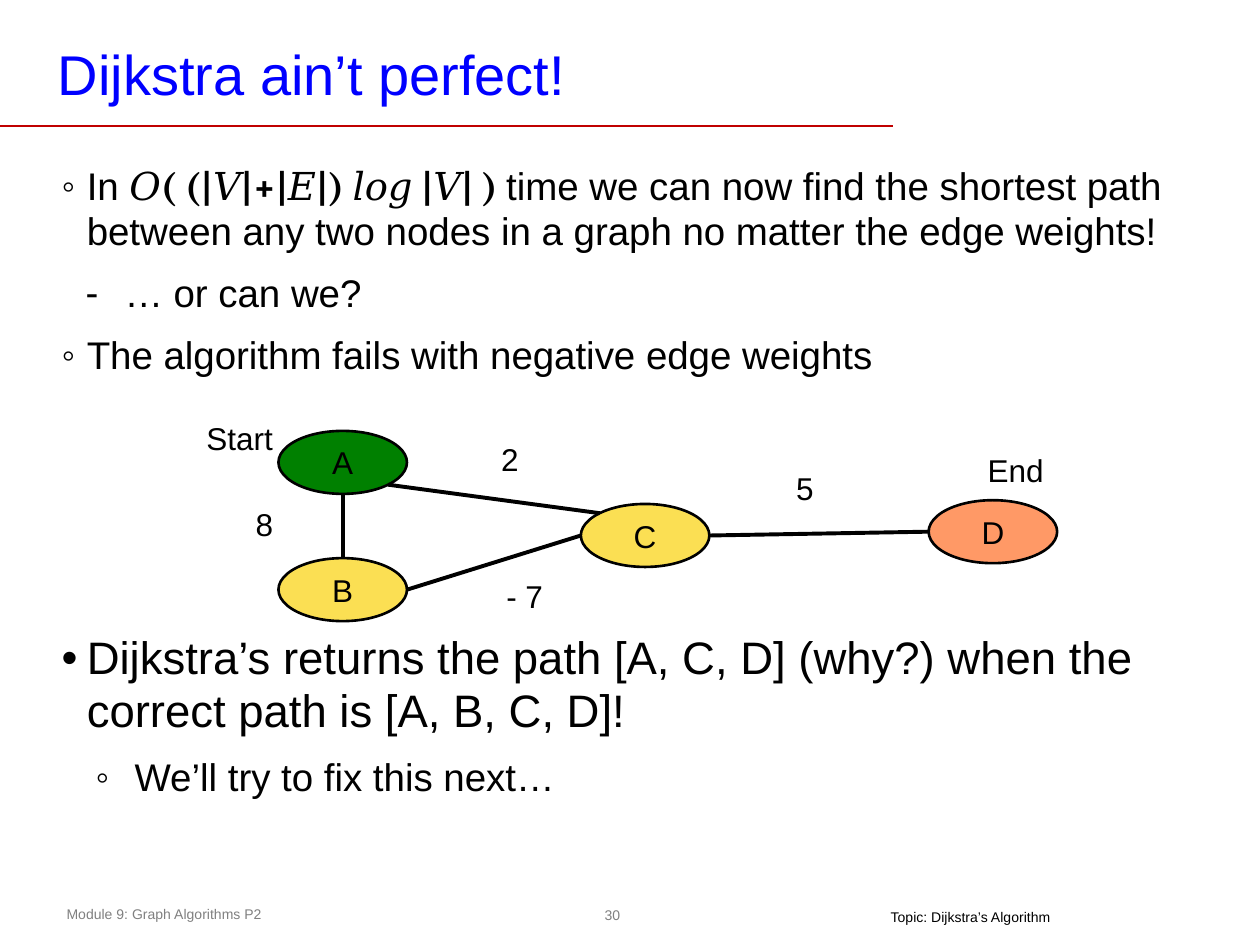
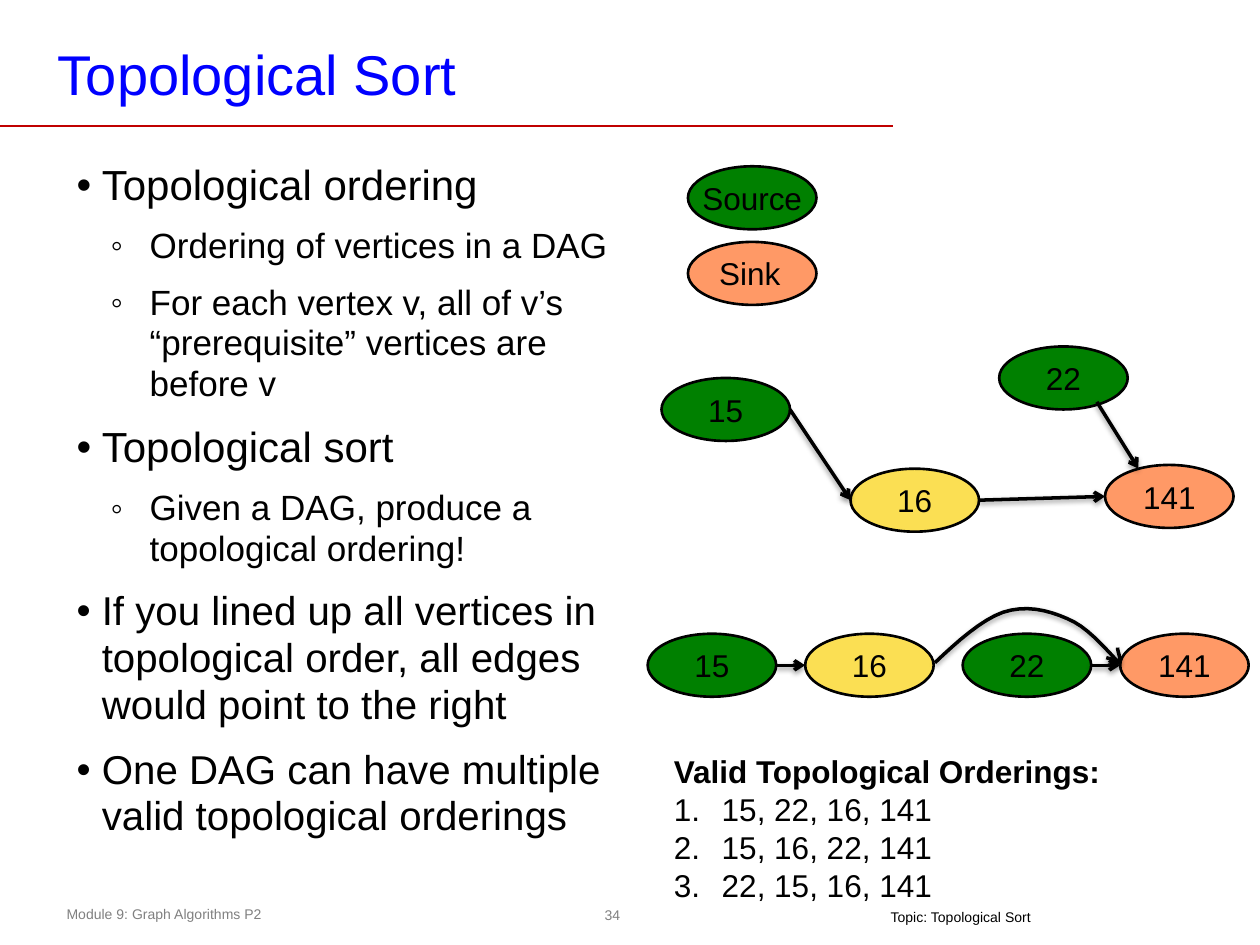
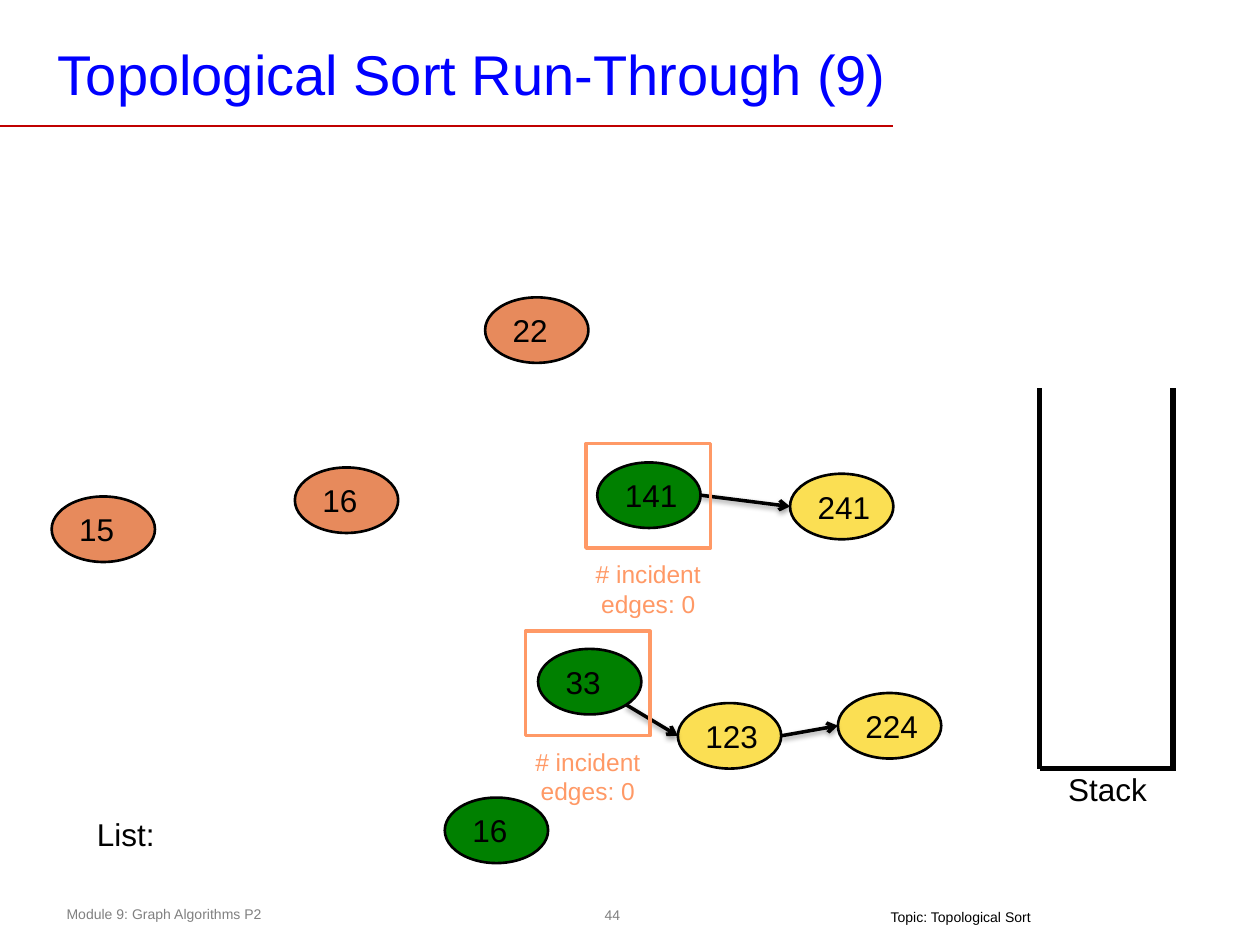
"""Builds three lecture slides on Dijkstra's algorithm and topological sort."""
from lxml import etree
from pptx import Presentation
from pptx.dml.color import RGBColor
from pptx.enum.shapes import MSO_CONNECTOR, MSO_SHAPE
from pptx.enum.text import MSO_ANCHOR, MSO_AUTO_SIZE, PP_ALIGN
from pptx.oxml.ns import qn
from pptx.util import Inches, Pt

STRAIGHT = MSO_CONNECTOR.STRAIGHT
OVAL, RECTANGLE = MSO_SHAPE.OVAL, MSO_SHAPE.RECTANGLE
TOP, MIDDLE, BOTTOM = MSO_ANCHOR.TOP, MSO_ANCHOR.MIDDLE, MSO_ANCHOR.BOTTOM
LEFT, CENTER = PP_ALIGN.LEFT, PP_ALIGN.CENTER
FIT_SHAPE = MSO_AUTO_SIZE.SHAPE_TO_FIT_TEXT

BLACK = RGBColor(0x00, 0x00, 0x00)
GREY = RGBColor(0x80, 0x80, 0x80)
BLUE = RGBColor(0x00, 0x00, 0xFF)
RED = RGBColor(0xC0, 0x00, 0x00)
GREEN = RGBColor(0x00, 0x80, 0x00)
YELLOW = RGBColor(0xFB, 0xDF, 0x53)
ORANGE = RGBColor(0xFF, 0x99, 0x66)
RUST = RGBColor(0xE7, 0x8A, 0x5C)

BODY_FONT, MATH_FONT = "Arial", "Cambria"
MODULE = "Module 9: Graph Algorithms P2"
DIJKSTRA, TOPOLOGICAL = "Topic: Dijkstra’s Algorithm", "Topic: Topological Sort"
INSETS = (0.1, 0.05, 0.1, 0.05)

# Places on a node's outline, as shares of its width and height
SITES = {
    "top": (0.5, 0), "bottom": (0.5, 1), "left": (0, 0.5), "right": (1, 0.5),
    "top left": (0.146, 0.146), "bottom right": (0.854, 0.854),
    "low right": (0.76, 0.88), "high left": (0.26, 0.06),
}

# Bullet style: level, left margin, first-line indent, bullet element, its attributes
BULLETS = {
    "dot": (0, 0.2, -0.2, "a:buChar", {"char": "•"}),
    "ring": (1, 0.58, -0.31, "a:buChar", {"char": "◦"}),
    "outer ring": (1, 0.2, -0.2, "a:buChar", {"char": "◦"}),
    "dash": (2, 0.5, -0.31, "a:buChar", {"char": "-"}),
    "number": (0, 0.38, -0.38, "a:buAutoNum", {"type": "arabicPeriod"}),
}

GRAPH_GAP = 145
DIJKSTRA_POINTS = [
    ("outer ring", 22, ["In ", ("𝑂( (|𝑉|+|𝐸|) 𝑙𝑜𝑔 |𝑉| ) ", MATH_FONT),
                        "time we can now find the shortest path between any two "
                        "nodes in a graph no matter the edge weights!"], 0),
    ("dash", 22, ["… or can we?"], None),
    ("outer ring", 22, ["The algorithm fails with negative edge weights"], None),
    ("dot", 26, ["Dijkstra’s returns the path [A, C, D] (why?) when the "
                 "correct path is [A, B, C, D]!"], GRAPH_GAP),
    ("ring", 22, ["We’ll try to fix this next…"], None),
]
DIJKSTRA_NODES = {
    "D": (7.37, 3.97, ORANGE), "A": (2.21, 3.42, GREEN),
    "B": (2.21, 4.43, YELLOW), "C": (4.61, 4, YELLOW),
}
DIJKSTRA_EDGES = [
    ("C", "top left", "A", "bottom right"), ("B", "top", "A", "bottom"),
    ("D", "left", "C", "right"), ("C", "left", "B", "right"),
]
DIJKSTRA_LABELS = [
    ("2", 3.88, 3.44, 0.34), ("- 7", 3.92, 4.53, 0.5), ("5", 6.22, 3.67, 0.34),
    ("8", 1.93, 3.96, 0.34), ("Start", 1.54, 3.28, 0.73), ("End", 7.74, 3.53, 0.65),
]

SORT_POINTS = [
    ("dot", 24, ["Topological ordering"], 0),
    ("ring", 20, ["Ordering of vertices in a DAG"], None),
    ("ring", 20, ["For each vertex v, all of v’s “prerequisite” vertices are before v"], None),
    ("dot", 24, ["Topological sort"], None),
    ("ring", 20, ["Given a DAG, produce a topological ordering!"], None),
    ("dot", 23, ["If you lined up all vertices in topological order, all edges "
                 "would point to the right"], None),
    ("dot", 23, ["One DAG can have multiple valid topological orderings"], None),
]
SORT_NODES = {
    "16": (6.75, 3.72, YELLOW), "15": (5.25, 3, GREEN),
    "141": (8.77, 3.69, ORANGE), "22": (7.93, 2.75, GREEN),
}
SORT_EDGES = [
    ("15", "right", "16", "left"), ("16", "right", "141", "left"),
    ("22", "low right", "141", "high left"),
]
LINEUP = [("15", GREEN), ("16", YELLOW), ("22", GREEN), ("141", ORANGE)]
LINEUP_LEFT, LINEUP_TOP, LINEUP_STEP = 5.14, 5.03, 1.25
LINEUP_EDGES = [("15", "right", "16", "left"), ("22", "right", "141", "left")]
ARC = [(7.42, 5.26), (7.6, 5.09), (7.79, 4.92), (7.96, 4.86), (8.14, 4.8),
       (8.31, 4.84), (8.47, 4.91), (8.62, 4.97), (8.75, 5.12), (8.88, 5.26)]
ARC_HEAD = [(8.87, 5.14), (8.87, 5.18), (8.9, 5.22), (8.88, 5.25), (8.87, 5.27),
            (8.84, 5.24), (8.82, 5.23), (8.81, 5.23), (8.78, 5.22), (8.78, 5.22)]
ORDERINGS_TITLE = "Valid Topological Orderings:"
ORDERINGS = ["15, 22, 16, 141", "15, 16, 22, 141", "22, 15, 16, 141"]

RUN_NODES = {
    "33": (4.27, 5.15, GREEN), "16": (2.34, 3.71, RUST), "15": (0.41, 3.94, RUST),
    "123": (5.38, 5.58, YELLOW), "224": (6.65, 5.5, YELLOW), "141": (4.74, 3.67, GREEN),
    "241": (6.27, 3.76, YELLOW), "22": (3.85, 2.36, RUST),
}
RUN_EDGES = [
    ("123", "right", "224", "left"), ("33", "bottom right", "123", "left"),
    ("141", "right", "241", "left"),
]
LISTED_NODE = {"16": (3.53, 6.33, GREEN)}
STACK_LEFT, STACK_RIGHT, STACK_TOP, STACK_BOTTOM = 8.25, 9.31, 3.08, 6.1
READY_FRAMES = [(4.65, 3.52), (4.17, 5.01)]
READY_NOTE = "# incident edges: 0"
WIDE_NODE, SMALL_NODE = (1.02, 0.5), (0.82, 0.52)


def inches(*lengths):
    return [Inches(length) for length in lengths]


def style(run, size, color=BLACK, font=BODY_FONT, bold=False):
    run.font.size, run.font.name, run.font.bold = Pt(size), font, bold
    run.font.color.rgb = color


def set_frame(frame, insets=INSETS, anchor=TOP, wrap=True):
    frame.margin_left, frame.margin_top, frame.margin_right, frame.margin_bottom = inches(*insets)
    frame.vertical_anchor, frame.word_wrap = anchor, wrap


def add_text(slide, text, box, size=18, color=BLACK, align=LEFT, **frame_options):
    frame = slide.shapes.add_textbox(*inches(*box)).text_frame
    set_frame(frame, **frame_options)
    if not frame.word_wrap:
        frame.auto_size = FIT_SHAPE
    frame.text = text
    paragraph = frame.paragraphs[0]
    paragraph.alignment = align
    style(paragraph.runs[0], size, color)
    return frame


def add_bullet(paragraph, kind):
    level, margin, indent, tag, attributes = BULLETS[kind]
    paragraph.level = level
    properties = paragraph._p.get_or_add_pPr()
    properties.set("marL", str(Inches(margin)))
    properties.set("indent", str(Inches(indent)))
    etree.SubElement(properties, qn("a:buFont")).set("typeface", BODY_FONT)
    etree.SubElement(properties, qn(tag), attributes)


def add_points(slide, points, box):
    frame = slide.shapes.add_textbox(*inches(*box)).text_frame
    set_frame(frame)
    for index, (kind, size, pieces, gap) in enumerate(points):
        paragraph = frame.add_paragraph() if index else frame.paragraphs[0]
        paragraph.line_spacing = 0.97
        paragraph.space_before = Pt(0.45 * size if gap is None else gap)
        add_bullet(paragraph, kind)
        for piece in pieces:
            math = isinstance(piece, tuple)
            run = paragraph.add_run()
            run.text = piece[0] if math else piece
            style(run, size, font=MATH_FONT if math else BODY_FONT, bold=math)


def set_effects(shape, shadow):
    effects = etree.SubElement(shape._element.spPr, qn("a:effectLst"))
    if shadow:
        outer = etree.SubElement(effects, qn("a:outerShdw"), {
            "blurRad": str(Pt(3.1)), "dist": str(Pt(1.6)), "dir": "5400000", "rotWithShape": "0"})
        tint = etree.SubElement(outer, qn("a:srgbClr"), {"val": str(BLACK)})
        etree.SubElement(tint, qn("a:alpha"), {"val": "38000"})


def add_line(slide, start, end, width, color=BLACK, arrow=False):
    line = slide.shapes.add_connector(STRAIGHT, *inches(*start, *end))
    line.line.color.rgb, line.line.width = color, Pt(width)
    if arrow:
        etree.SubElement(line.line._get_or_add_ln(), qn("a:tailEnd"), {"type": "arrow"})
    set_effects(line, shadow=arrow)


def add_nodes(slide, nodes, size, align=CENTER):
    for label, (left, top, fill) in nodes.items():
        node = slide.shapes.add_shape(OVAL, *inches(left, top, *size))
        node.shadow.inherit = False
        node.fill.solid()
        node.fill.fore_color.rgb = fill
        node.line.color.rgb, node.line.width = BLACK, Pt(1.5)
        set_frame(node.text_frame, anchor=MIDDLE, wrap=False)
        node.text_frame.text = label
        paragraph = node.text_frame.paragraphs[0]
        paragraph.alignment = align
        style(paragraph.runs[0], 18)


def add_graph(slide, nodes, edges, size, align=CENTER, width=2, arrow=True):
    def site(label, name):
        return [start + share * length
                for start, share, length in zip(nodes[label], SITES[name], size)]

    add_nodes(slide, nodes, size, align)
    for source, leaving, target, entering in edges:
        add_line(slide, site(source, leaving), site(target, entering), width, arrow=arrow)


def add_curve(slide, controls, steps=8):
    points = [controls[0]]
    for first in range(0, len(controls) - 1, 3):
        a, b, c, d = controls[first:first + 4]
        for t in (step / steps for step in range(1, steps + 1)):
            weights = ((1 - t) ** 3, 3 * t * (1 - t) ** 2, 3 * t * t * (1 - t), t ** 3)
            points.append([sum(w * v for w, v in zip(weights, axis))
                           for axis in zip(a, b, c, d)])
    outline = [inches(*point) for point in points]
    builder = slide.shapes.build_freeform(*outline[0])
    builder.add_line_segments(outline[1:], close=False)
    curve = builder.convert_to_shape()
    curve.fill.background()
    curve.line.color.rgb, curve.line.width = BLACK, Pt(2)
    set_effects(curve, shadow=True)


def add_page(deck, title, number, topic):
    slide = deck.slides.add_slide(deck.slide_layouts[6])
    add_text(slide, number, (4.74, 7.13, 0.24, 0.26), 8, GREY, CENTER,
             insets=(0, 0.04, 0, 0.04), anchor=MIDDLE)
    add_text(slide, MODULE, (0.43, 7.14, 3.64, 0.24), 8, GREY)
    add_line(slide, (0, 1), (7.09, 1), 1, RED)
    add_text(slide, title, (0.39, 0.28, 7.42, 0.6), 32, BLUE,
             insets=(0.07, 0.03, 0.07, 0.03), anchor=BOTTOM)
    add_text(slide, topic, (6.97, 7.21, 1.48 if topic == DIJKSTRA else 1.34, 0.17), 8,
             insets=(0.1, 0, 0.1, 0.04), wrap=False)
    return slide


def build_dijkstra(deck):
    slide = add_page(deck, "Dijkstra ain’t perfect!", "30", DIJKSTRA)
    add_points(slide, DIJKSTRA_POINTS, (0.39, 1.26, 9.31, 5.48))
    add_graph(slide, DIJKSTRA_NODES, DIJKSTRA_EDGES, WIDE_NODE, width=2.25, arrow=False)
    for label, left, top, width in DIJKSTRA_LABELS:
        add_text(slide, label, (left, top, width, 0.4), wrap=False)


def build_sort(deck):
    slide = add_page(deck, "Topological Sort", "34", TOPOLOGICAL)
    add_points(slide, SORT_POINTS, (0.51, 1.23, 4.58, 5.58))
    add_graph(slide, SORT_NODES, SORT_EDGES, WIDE_NODE)
    orderings = add_text(slide, ORDERINGS_TITLE, (5.25, 5.92, 4, 1.31))
    orderings.paragraphs[0].runs[0].font.bold = True
    for ordering in ORDERINGS:
        paragraph = orderings.add_paragraph()
        paragraph.text = ordering
        add_bullet(paragraph, "number")
        style(paragraph.runs[0], 18)
    add_nodes(slide, {"Sink": (5.46, 1.92, ORANGE)}, WIDE_NODE, LEFT)
    add_nodes(slide, {"Source": (5.46, 1.32, GREEN)}, WIDE_NODE)
    lineup = {label: (LINEUP_LEFT + place * LINEUP_STEP, LINEUP_TOP, fill)
              for place, (label, fill) in enumerate(LINEUP)}
    add_graph(slide, lineup, LINEUP_EDGES, WIDE_NODE)
    for controls in (ARC, ARC_HEAD):
        add_curve(slide, controls)


def build_run_through(deck):
    slide = add_page(deck, "Topological Sort Run-Through (9)", "44", TOPOLOGICAL)
    add_graph(slide, RUN_NODES, RUN_EDGES, SMALL_NODE, LEFT)
    add_text(slide, "Stack", (8.08, 6.06, 1.42, 0.4), align=CENTER)
    add_text(slide, "List:", (0.67, 6.42, 1.08, 0.4))
    add_line(slide, (STACK_LEFT, STACK_BOTTOM), (STACK_RIGHT + 0.02, STACK_BOTTOM), 3)
    for side in (STACK_LEFT, STACK_RIGHT):
        add_line(slide, (side, STACK_BOTTOM), (side, STACK_TOP), 3)
    for left, top in READY_FRAMES:
        frame = slide.shapes.add_shape(RECTANGLE, *inches(left, top, 0.99, 0.83))
        frame.shadow.inherit = False
        frame.fill.background()
        frame.line.color.rgb, frame.line.width = ORANGE, Pt(2)
        add_text(slide, READY_NOTE, (left - 0.15, top + 0.87, 1.29, 0.57), 14, ORANGE, CENTER)
    add_nodes(slide, LISTED_NODE, SMALL_NODE, LEFT)


def main():
    deck = Presentation()
    deck.slide_width, deck.slide_height = inches(10, 7.5)
    for build in (build_dijkstra, build_sort, build_run_through):
        build(deck)
    deck.save("out.pptx")


if __name__ == "__main__":
    main()
